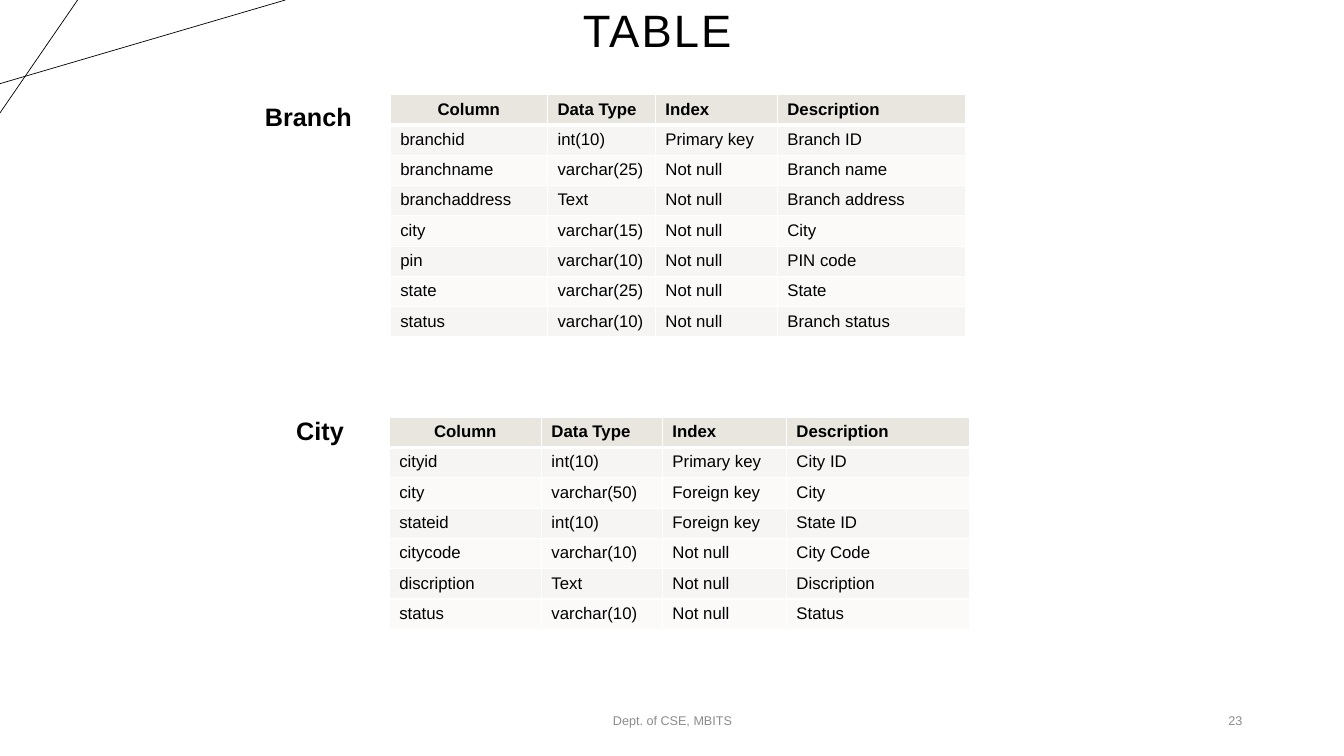
from lxml import etree
from pptx import Presentation
from pptx.dml.color import RGBColor
from pptx.enum.shapes import MSO_CONNECTOR
from pptx.enum.text import MSO_ANCHOR, PP_ALIGN
from pptx.oxml import parse_xml
from pptx.oxml.ns import nsdecls, qn
from pptx.util import Inches, Pt

BLACK, GREY, WHITE = "000000", "8C8C8C", "FFFFFF"
HEADER_FILL, ROW_FILLS = "E9E6DF", ("F7F5F3", "FBFAF9")
HEADERS = ("Column", "Data Type", "Index", "Description")


def color(hex_code):
    return RGBColor.from_string(hex_code)


def write(frame, text, size, hex_code=BLACK, bold=False, align=PP_ALIGN.LEFT):
    paragraph = frame.paragraphs[0]
    paragraph.alignment = align
    run = paragraph.add_run()
    run.text = text
    run.font.name = "Arial"
    run.font.size = Pt(size)
    run.font.bold = bold
    run.font.color.rgb = color(hex_code)
    return run


presentation = Presentation()
presentation.slide_width = Inches(13.33)
presentation.slide_height = Inches(7.5)
slide = presentation.slides.add_slide(presentation.slide_layouts[5])
slide.background.fill.solid()
slide.background.fill.fore_color.rgb = color(WHITE)

# Corner lines
for x1, y1, x2, y2 in ((0, 0.83, 2.83, 0), (0.77, 0, 0, 1.12)):
    line = slide.shapes.add_connector(
        MSO_CONNECTOR.STRAIGHT, Inches(x1), Inches(y1), Inches(x2), Inches(y2))
    line.line.color.rgb = color(BLACK)
    line.line.width = Pt(0.5)
    etree.SubElement(line._element.spPr, qn("a:effectLst"))

# Title
title = slide.shapes.title
title.left, title.top = Inches(5.68), Inches(0.15)
title.width, title.height = Inches(1.98), Inches(0.36)
title.text_frame.vertical_anchor = MSO_ANCHOR.MIDDLE
title.text_frame.word_wrap = True
title_run = write(title.text_frame, "TABLE", 32.4)
title_run.font._element.set("spc", "150")
title.text_frame.paragraphs[0].line_spacing = 0.9

# Table names, footer and slide number
top, middle = MSO_ANCHOR.TOP, MSO_ANCHOR.MIDDLE
left, center, right = PP_ALIGN.LEFT, PP_ALIGN.CENTER, PP_ALIGN.RIGHT
for text, x, y, width, size, hex_code, bold, anchor, align in (
    ("Branch", 2.53, 0.96, 1.06, 18, BLACK, True, top, left),
    ("City", 2.84, 4.07, 0.76, 18, BLACK, True, top, left),
    ("Dept. of CSE, MBITS", 4.42, 6.95, 4.5, 9, GREY, False, middle, center),
    ("23", 9.42, 6.95, 3, 9, GREY, False, middle, right),
):
    box = slide.shapes.add_textbox(Inches(x), Inches(y), Inches(width), Inches(0.4))
    box.text_frame.word_wrap = True
    box.text_frame.vertical_anchor = anchor
    write(box.text_frame, text, size, hex_code, bold, align)

# Schema tables
branch_rows = (
    ("branchid", "int(10)", "Primary key", "Branch ID"),
    ("branchname", "varchar(25)", "Not null", "Branch name"),
    ("branchaddress", "Text", "Not null", "Branch address"),
    ("city", "varchar(15)", "Not null", "City"),
    ("pin", "varchar(10)", "Not null", "PIN code"),
    ("state", "varchar(25)", "Not null", "State"),
    ("status", "varchar(10)", "Not null", "Branch status"),
)
city_rows = (
    ("cityid", "int(10)", "Primary key", "City ID"),
    ("city", "varchar(50)", "Foreign key", "City"),
    ("stateid", "int(10)", "Foreign key", "State ID"),
    ("citycode", "varchar(10)", "Not null", "City Code"),
    ("discription", "Text", "Not null", "Discription"),
    ("status", "varchar(10)", "Not null", "Status"),
)
for x, y, widths, rows in (
    (3.87, 0.94, (1.56, 1.07, 1.21, 1.87), branch_rows),
    (3.86, 4.14, (1.51, 1.2, 1.23, 1.82), city_rows),
):
    lines = (HEADERS,) + rows
    table = slide.shapes.add_table(
        len(lines), len(HEADERS), Inches(x), Inches(y),
        Inches(sum(widths)), Inches(0.3 * len(lines))).table
    for column, width in zip(table.columns, widths):
        column.width = Inches(width)
    for row_index, values in enumerate(lines):
        is_header = row_index == 0
        fill = HEADER_FILL if is_header else ROW_FILLS[(row_index - 1) % 2]
        for column_index, value in enumerate(values):
            cell = table.cell(row_index, column_index)
            # White borders, thicker between the header and the first row
            for side in ("lnL", "lnR", "lnT", "lnB"):
                thick = (row_index, side) in ((0, "lnB"), (1, "lnT"))
                cell._tc.get_or_add_tcPr().append(parse_xml(
                    f'<a:{side} {nsdecls("a")} w="{Pt(3 if thick else 1)}">'
                    f'<a:solidFill><a:srgbClr val="{WHITE}"/></a:solidFill></a:{side}>'))
            cell.fill.solid()
            cell.fill.fore_color.rgb = color(fill)
            align = center if is_header and column_index == 0 else left
            write(cell.text_frame, value, 12, bold=is_header, align=align)

presentation.save("out.pptx")
